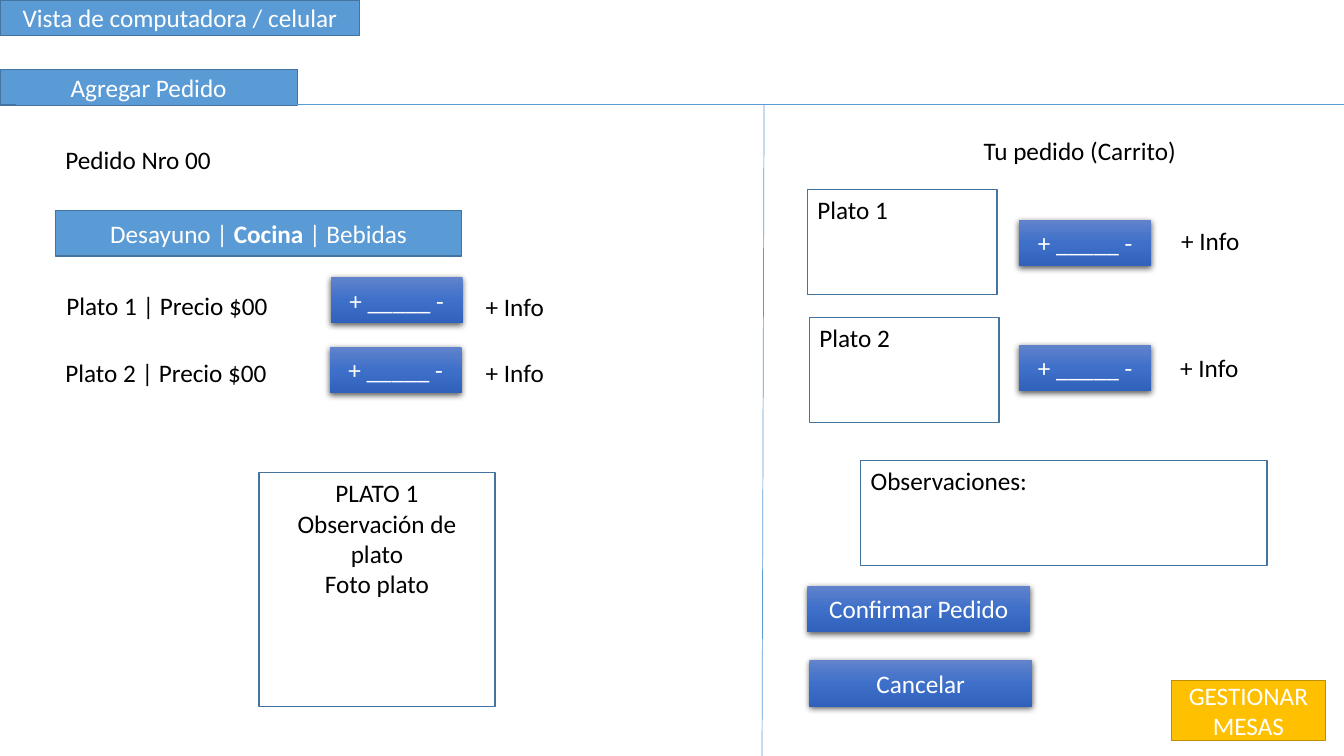
from lxml import etree
from pptx import Presentation
from pptx.dml.color import RGBColor
from pptx.enum.shapes import MSO_CONNECTOR, MSO_SHAPE
from pptx.enum.text import MSO_ANCHOR, PP_ALIGN
from pptx.oxml import parse_xml
from pptx.oxml.ns import qn
from pptx.util import Inches, Pt

RECT, STRAIGHT = MSO_SHAPE.RECTANGLE, MSO_CONNECTOR.STRAIGHT
TOP, MIDDLE = MSO_ANCHOR.TOP, MSO_ANCHOR.MIDDLE
LEFT, CENTER = PP_ALIGN.LEFT, PP_ALIGN.CENTER

WIDTH, HEIGHT = 13.33, 7.5
COLUMNS, ROWS = 160, 90
BLUE, BLUE_EDGE = "5B9BD5", "43739E"
GOLD, GOLD_EDGE = "FFC000", "BD8E00"
WHITE, BLACK = "FFFFFF", "000000"
BUTTON_STOPS = ((0, "6183CB"), (50, "3E70CA"), (100, "3062BB"))
DRAWING = 'xmlns:a="http://schemas.openxmlformats.org/drawingml/2006/main"'


def color(hex_code):
    return RGBColor.from_string(hex_code)


def across(columns):
    return Inches(columns * WIDTH / COLUMNS)


def down(rows):
    return Inches(rows * HEIGHT / ROWS)


def place(left, top, width, height):
    return across(left), down(top), across(width), down(height)


class Mockup:
    font, size = "Calibri", 18

    def __init__(self, slide):
        self.slide = slide

    def set_text(self, shape, lines, ink, align=LEFT, anchor=TOP, bold=None):
        """Fill a shape with paragraphs, each one a list of runs."""
        frame = shape.text_frame
        frame.word_wrap = True
        frame.vertical_anchor = anchor
        for number, pieces in enumerate(lines):
            paragraph = frame.add_paragraph() if number else frame.paragraphs[0]
            paragraph.alignment = align
            for piece in pieces:
                run = paragraph.add_run()
                run.text = piece
                run.font.name = self.font
                run.font.size = Pt(self.size)
                run.font.bold = piece == bold
                run.font.color.rgb = color(ink)

    def label(self, text, left, top, width):
        box = self.slide.shapes.add_textbox(*place(left, top, width, 4.8))
        self.set_text(box, [[text]], BLACK)

    def rectangle(self, area, fill, edge):
        shape = self.slide.shapes.add_shape(RECT, *place(*area))
        shape.shadow.inherit = False
        shape.fill.solid()
        shape.fill.fore_color.rgb = color(fill)
        shape.line.color.rgb = color(edge)
        shape.line.width = Pt(1)
        return shape

    def banner(self, pieces, area, fill=BLUE, edge=BLUE_EDGE, bold=None):
        shape = self.rectangle(area, fill, edge)
        self.set_text(shape, [pieces], WHITE, CENTER, MIDDLE, bold)

    def card(self, lines, area, align=LEFT):
        shape = self.rectangle(area, WHITE, BLUE_EDGE)
        self.set_text(shape, [[line] for line in lines], BLACK, align)

    def button(self, text, left, top, width):
        shape = self.slide.shapes.add_shape(RECT, *place(left, top, width, 5.52))
        shape.line.fill.background()
        shape.shadow.inherit = False
        # Three-stop vertical gradient
        shape.fill.gradient()
        shape.fill.gradient_angle = 270
        stops = "".join(f'<a:gs pos="{pos * 1000}"><a:srgbClr val="{tone}"/></a:gs>'
                        for pos, tone in BUTTON_STOPS)
        properties = shape.element.spPr
        old_stops = properties.find(".//" + qn("a:gsLst"))
        old_stops.getparent().replace(
            old_stops, parse_xml(f"<a:gsLst {DRAWING}>{stops}</a:gsLst>"))
        # Soft shadow below
        properties.find(qn("a:effectLst")).append(parse_xml(
            f'<a:outerShdw {DRAWING} blurRad="{Pt(4.5)}" dist="{Pt(1.5)}" dir="5400000" '
            f'algn="ctr" rotWithShape="0"><a:srgbClr val="{BLACK}">'
            '<a:alpha val="63000"/></a:srgbClr></a:outerShdw>'))
        self.set_text(shape, [[text]], WHITE, CENTER, MIDDLE)

    def divider(self, x1, y1, x2, y2):
        line = self.slide.shapes.add_connector(
            STRAIGHT, across(x1), down(y1), across(x2), down(y2))
        line.line.color.rgb = color(BLUE)
        line.line.width = Pt(0.5)
        etree.SubElement(line.element.spPr, qn("a:effectLst"))


def main():
    deck = Presentation()
    deck.slide_width, deck.slide_height = Inches(WIDTH), Inches(HEIGHT)
    view = Mockup(deck.slides.add_slide(deck.slide_layouts[6]))

    # Headings and dividers
    view.banner(["Vista de computadora / celular"], (0, 0, 42.84, 4.2))
    view.banner(["Agregar Pedido"], (0, 8.28, 35.4, 4.2))
    view.divider(1.92, 12.48, COLUMNS, 12.48)
    view.divider(90.96, 12.48, 90.72, ROWS)

    # Menu
    view.label("Pedido Nro 00", 6.6, 16.56, 20.4)
    view.banner(["Desayuno | ", "Cocina ", "| Bebidas"],
                (6.6, 25.08, 48.36, 5.4), bold="Cocina ")
    view.label("Plato 1 | Precio $00", 6.72, 33.96, 48.36)
    view.label("Plato 2 | Precio $00", 6.6, 42, 48.36)
    view.card(["PLATO 1", "Observación de plato", "Foto plato"],
              (30.84, 56.28, 28.08, 27.84), CENTER)

    # Cart
    view.label("Tu pedido (Carrito)", 115.92, 15.48, 27.48)
    view.card(["Plato 1"], (96.12, 22.56, 22.56, 12.48))
    view.card(["Plato 2"], (96.36, 37.8, 22.56, 12.48))
    view.card(["Observaciones:"], (102.48, 54.84, 48.36, 12.48))

    # Quantity button and details for each dish
    for quantity, info in (((39.36, 33), (56.64, 34.08)),
                           ((39.24, 41.28), (56.64, 42)),
                           ((121.32, 26.16), (139.44, 26.28)),
                           ((121.32, 41.04), (139.32, 41.4))):
        view.button("+ _____ -", *quantity, 15.72)
        view.label("+ Info", *info, 20.28)

    # Actions
    view.button("Confirmar Pedido", 96.12, 69.72, 26.52)
    view.button("Cancelar", 96.36, 78.6, 26.52)
    view.banner(["GESTIONAR MESAS"], (139.44, 81, 18.36, 7.2), GOLD, GOLD_EDGE)

    deck.save("out.pptx")


if __name__ == "__main__":
    main()
